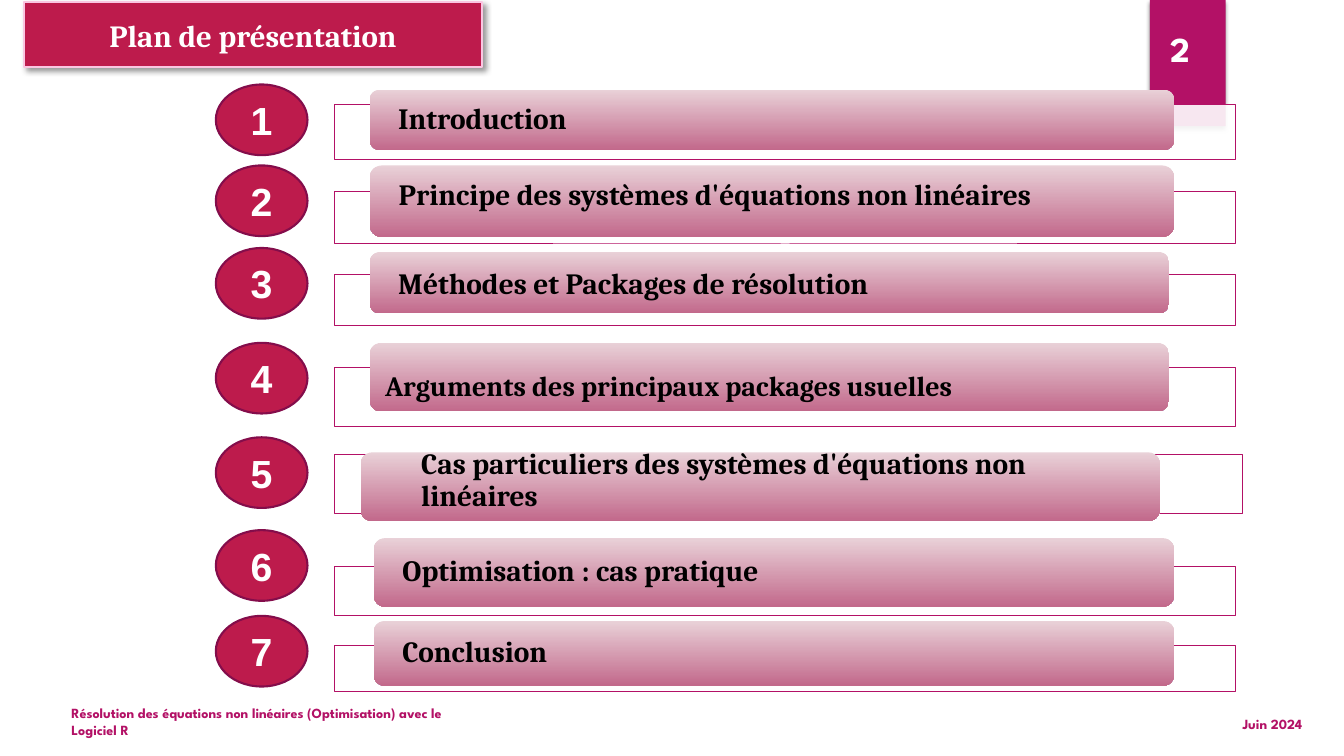
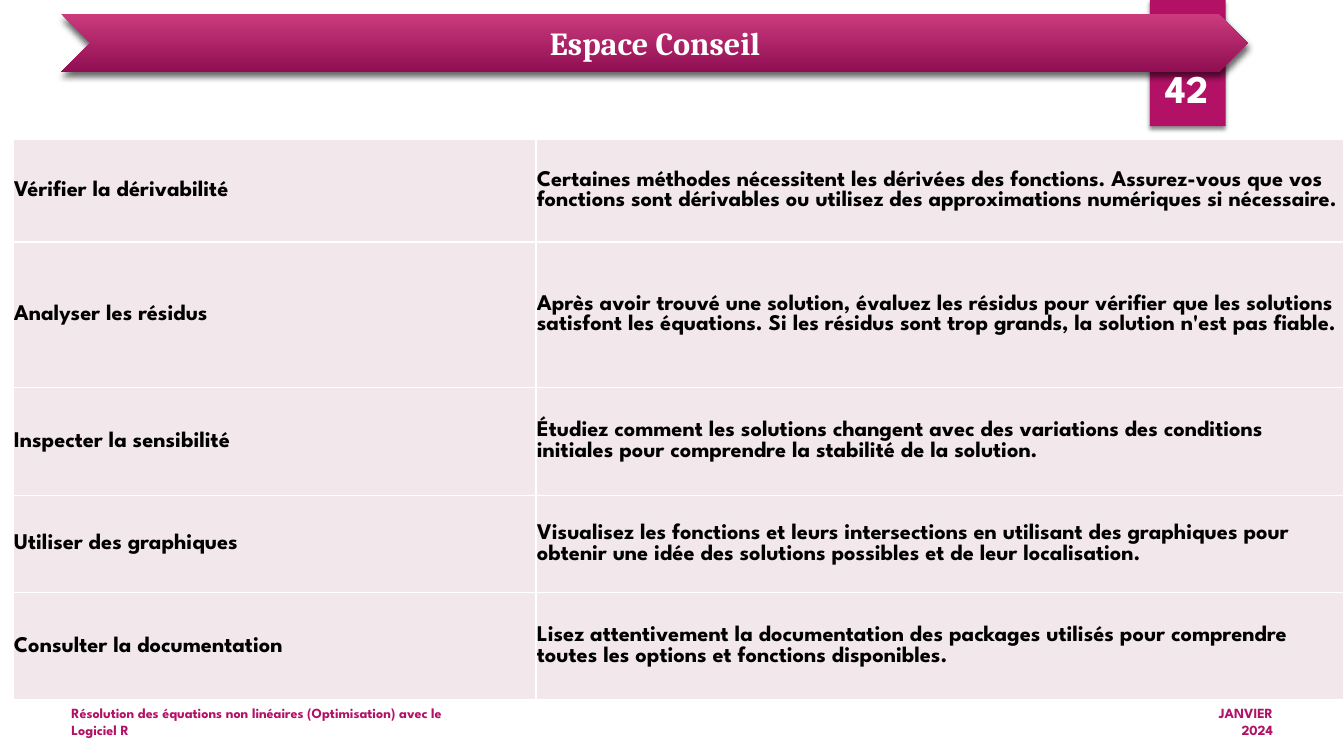
"""Builds the plan slide and the advice slide of a talk on non-linear equations."""
import pptx
import pptx.dml.color
import pptx.enum.shapes
import pptx.enum.text
import pptx.util
from lxml import etree
from pptx.oxml.ns import qn

Cm = pptx.util.Cm
Pt = pptx.util.Pt
SHAPES = pptx.enum.shapes.MSO_SHAPE
ALIGN = pptx.enum.text.PP_ALIGN
ANCHOR = pptx.enum.text.MSO_ANCHOR

SERIF, SANS, DIGITS = "Cambria", "League Spartan", "Arial"
WHITE, BLACK = "FFFFFF", "000000"
MAGENTA, CRIMSON, PLUM, PINK = "B31166", "BD1B4C", "840D4B", "FAC6E1"
CELL_FILL = "F2E7EA"
BAR_GRADIENT = ("E9D1D8", "C2698B")
BANNER_GRADIENT = ("CB3B7C", "900E52")

FOOTER = "Résolution des équations non linéaires (Optimisation) avec le Logiciel R"
FOOTER_BOX = (1.55, 17.75, 10.72, 0.84)
TAG_BOX = (28.98, 0, 1.91, 3.18)

PLAN = {
    "title": "Plan de présentation",
    "title_box": (0.61, 0.05, 11.53, 1.65),
    "title_size": 22,
    "date": "Juin 2024",
    "date_box": (30.33, 17.83, 2.74, 0.84),
    "number": "2",
    "number_box": (29.24, 0.58, 2.87, 1.32),
    "number_style": (25, ALIGN.LEFT, ANCHOR.TOP),
}
ADVICE = {
    "title": "Espace Conseil",
    "title_box": (2.29, 0.36, 28.45, 1.45),
    "title_size": 23,
    "date": "JANVIER 2024",
    "date_box": (29.59, 17.75, 2.74, 0.84),
    "number": "42",
    "number_box": (28.75, 0.81, 2.34, 2.13),
    "number_style": (28, ALIGN.CENTER, ANCHOR.BOTTOM),
}
BANNER_BOX = (1.55, 0.36, 29.9, 1.45)

BADGE_LEFT, BADGE_WIDTH, BADGE_HEIGHT = 5.44, 2.31, 1.78
FRAME_LEFT, FRAME_WIDTH = 8.43, 22.71
LABEL_RIGHT_MARGIN = 1.2
# label, size, badge top, (frame top, height), bar box, label indent, label shift
PLAN_ROWS = [
    ("Introduction", 21, 2.13, (2.64, 1.37), (9.32, 2.26, 20.27, 1.52), 0.64, 0),
    ("Principe des systèmes d'équations non linéaires", 21, 4.17, (4.83, 1.32),
     (9.32, 4.17, 20.27, 1.8), 0.64, -0.14),
    ("Méthodes et Packages de résolution", 21, 6.25, (6.93, 1.27),
     (9.32, 6.35, 20.14, 1.55), 0.64, 0.05),
    ("Arguments des principaux packages usuelles", 20, 8.64, (9.27, 1.47),
     (9.32, 8.64, 20.14, 1.73), 0.3, 0.27),
    ("Cas particuliers des systèmes d'équations non linéaires", 21, 11.02, (11.46, 1.47),
     (9.09, 11.4, 20.14, 1.73), 1.44, -0.15),
    ("Optimisation : cas pratique", 21, 13.36, (14.27, 1.24),
     (9.42, 13.56, 20.17, 1.73), 0.64, 0),
    ("Conclusion", 21, 15.52, (16.26, 1.17), (9.42, 15.65, 20.17, 1.63), 0.64, 0),
]
WIDE_FRAMES = {5: 22.89}

TABLE_LEFT, TABLE_TOP = 0.33, 3.51
COLUMN_WIDTHS = (13.18, 20.35)
ADVICE_ROWS = [
    (2.59, "Vérifier la dérivabilité",
     "Certaines méthodes nécessitent les dérivées des fonctions. Assurez-vous que vos fonctions "
     "sont dérivables ou utilisez des approximations numériques si nécessaire."),
    (3.66, "Analyser les résidus",
     "Après avoir trouvé une solution, évaluez les résidus pour vérifier que les solutions "
     "satisfont les équations. Si les résidus sont trop grands, la solution n'est pas fiable."),
    (2.72, "Inspecter la sensibilité",
     "Étudiez comment les solutions changent avec des variations des conditions initiales pour "
     "comprendre la stabilité de la solution."),
    (2.46, "Utiliser des graphiques",
     "Visualisez les fonctions et leurs intersections en utilisant des graphiques pour obtenir "
     "une idée des solutions possibles et de leur localisation."),
    (2.69, "Consulter la documentation",
     "Lisez attentivement la documentation des packages utilisés pour comprendre toutes les "
     "options et fonctions disponibles."),
]


def color(value):
    return pptx.dml.color.RGBColor.from_string(value)


def lengths(box):
    return [Cm(value) for value in box]


def paint(shape, fill, line=None, width=0.75):
    if isinstance(fill, tuple):
        shape.fill.gradient()
        shape.fill.gradient_angle = 270
        for stop, value, position in zip(shape.fill.gradient_stops, fill, (0, 1)):
            stop.color.rgb = color(value)
            stop.position = position
    else:
        shape.fill.solid()
        shape.fill.fore_color.rgb = color(fill)
    if line:
        shape.line.color.rgb = color(line)
        shape.line.width = Pt(width)
    else:
        shape.line.fill.background()


def add_shape(slide, kind, box, fill, line=None, width=0.75):
    shape = slide.shapes.add_shape(kind, *lengths(box))
    shape.shadow.inherit = False
    paint(shape, fill, line, width)
    return shape


def cast_shadow(shape, opacity, blur, distance, angle):
    shape.shadow.inherit = False
    effects = shape._element.spPr.find(qn("a:effectLst"))
    shadow = etree.SubElement(effects, qn("a:outerShdw"), blurRad=str(Pt(blur)),
                              dist=str(Pt(distance)), dir=str(angle * 60000), rotWithShape="0")
    shade = etree.SubElement(shadow, qn("a:srgbClr"), val=BLACK)
    etree.SubElement(shade, qn("a:alpha"), val=str(opacity * 1000))


def write(frame, text, size, font, ink, align=ALIGN.LEFT):
    frame.text = text
    paragraph = frame.paragraphs[0]
    paragraph.alignment = align
    paragraph.font.name = font
    paragraph.font.size = Pt(size)
    paragraph.font.bold = True
    paragraph.font.color.rgb = color(ink)
    return paragraph


def fill_frame(shape, text, size, font, ink, align=ALIGN.LEFT, anchor=ANCHOR.MIDDLE):
    frame = shape.text_frame
    frame.auto_size = pptx.enum.text.MSO_AUTO_SIZE.NONE
    frame.word_wrap = True
    frame.vertical_anchor = anchor
    return write(frame, text, size, font, ink, align)


def set_margins(target, left, top, right, bottom):
    target.margin_left, target.margin_top = Cm(left), Cm(top)
    target.margin_right, target.margin_bottom = Cm(right), Cm(bottom)


def add_text(slide, box, *style):
    return fill_frame(slide.shapes.add_textbox(*lengths(box)), *style)


def add_layout_tag(layout, slide):
    tag = add_shape(slide, SHAPES.RECTANGLE, TAG_BOX, MAGENTA)
    cast_shadow(tag, 45, 3, 2, 90)
    layout.shapes._spTree.append(tag._element)


def place_title(slide, content):
    title = slide.shapes.title
    title.left, title.top, title.width, title.height = lengths(content["title_box"])
    fill_frame(title, content["title"], content["title_size"], SERIF, WHITE, ALIGN.CENTER)
    slide.shapes._spTree.append(title._element)
    return title


def add_furniture(slide, content):
    add_text(slide, FOOTER_BOX, FOOTER, 10, SANS, MAGENTA)
    add_text(slide, content["date_box"], content["date"], 10, SANS, MAGENTA, ALIGN.RIGHT)
    size, align, anchor = content["number_style"]
    add_text(slide, content["number_box"], content["number"], size, SANS, WHITE, align, anchor)


def add_plan_row(slide, number, row):
    label, size, badge_top, (frame_top, frame_height), bar_box, indent, shift = row
    badge_box = (BADGE_LEFT, badge_top, BADGE_WIDTH, BADGE_HEIGHT)
    badge = add_shape(slide, SHAPES.FLOWCHART_CONNECTOR, badge_box, CRIMSON, PLUM, 1.5)
    set_margins(badge.text_frame, 0, 0, 0, 0)
    fill_frame(badge, str(number), 28, DIGITS, WHITE, ALIGN.CENTER)

    frame_width = WIDE_FRAMES.get(number, FRAME_WIDTH)
    frame_box = (FRAME_LEFT, frame_top, frame_width, frame_height)
    frame = add_shape(slide, SHAPES.RECTANGLE, frame_box, WHITE, MAGENTA)
    fill_color = frame._element.spPr.find(qn("a:solidFill"))[0]
    etree.SubElement(fill_color, qn("a:alpha"), val="90000")

    bar = add_shape(slide, SHAPES.ROUNDED_RECTANGLE, bar_box, BAR_GRADIENT)
    set_margins(bar.text_frame, indent, max(2 * shift, 0), LABEL_RIGHT_MARGIN, max(-2 * shift, 0))
    fill_frame(bar, label, size, SERIF, BLACK).line_spacing = 0.9


def build_plan(slide):
    title = place_title(slide, PLAN)
    paint(title, CRIMSON, PINK, 1.5)
    cast_shadow(title, 40, 4, 3, 45)
    for number, row in enumerate(PLAN_ROWS, 1):
        add_plan_row(slide, number, row)
    add_furniture(slide, PLAN)


def add_advice_table(slide):
    heights = [row[0] for row in ADVICE_ROWS]
    box = (TABLE_LEFT, TABLE_TOP, sum(COLUMN_WIDTHS), sum(heights))
    table = slide.shapes.add_table(len(ADVICE_ROWS), len(COLUMN_WIDTHS), *lengths(box)).table
    table.first_row = table.horz_banding = False
    for column, width in zip(table.columns, COLUMN_WIDTHS):
        column.width = Cm(width)
    for table_row, (height, *texts) in zip(table.rows, ADVICE_ROWS):
        table_row.height = Cm(height)
        for cell, text in zip(table_row.cells, texts):
            cell.fill.solid()
            cell.fill.fore_color.rgb = color(CELL_FILL)
            cell.vertical_anchor = ANCHOR.MIDDLE
            set_margins(cell, 0.02, 0.02, 0.02, 0)
            write(cell.text_frame, text, 16, SANS, BLACK)


def build_advice(slide):
    banner = add_shape(slide, SHAPES.CHEVRON, BANNER_BOX, BANNER_GRADIENT)
    cast_shadow(banner, 60, 5, 3, 90)
    place_title(slide, ADVICE)
    add_furniture(slide, ADVICE)
    add_advice_table(slide)


def main():
    presentation = pptx.Presentation()
    presentation.slide_width, presentation.slide_height = Cm(33.87), Cm(19.05)
    layout = presentation.slide_layouts[5]
    plan, advice = [presentation.slides.add_slide(layout) for _ in range(2)]
    add_layout_tag(layout, plan)
    build_plan(plan)
    build_advice(advice)
    presentation.save("out.pptx")


if __name__ == "__main__":
    main()
